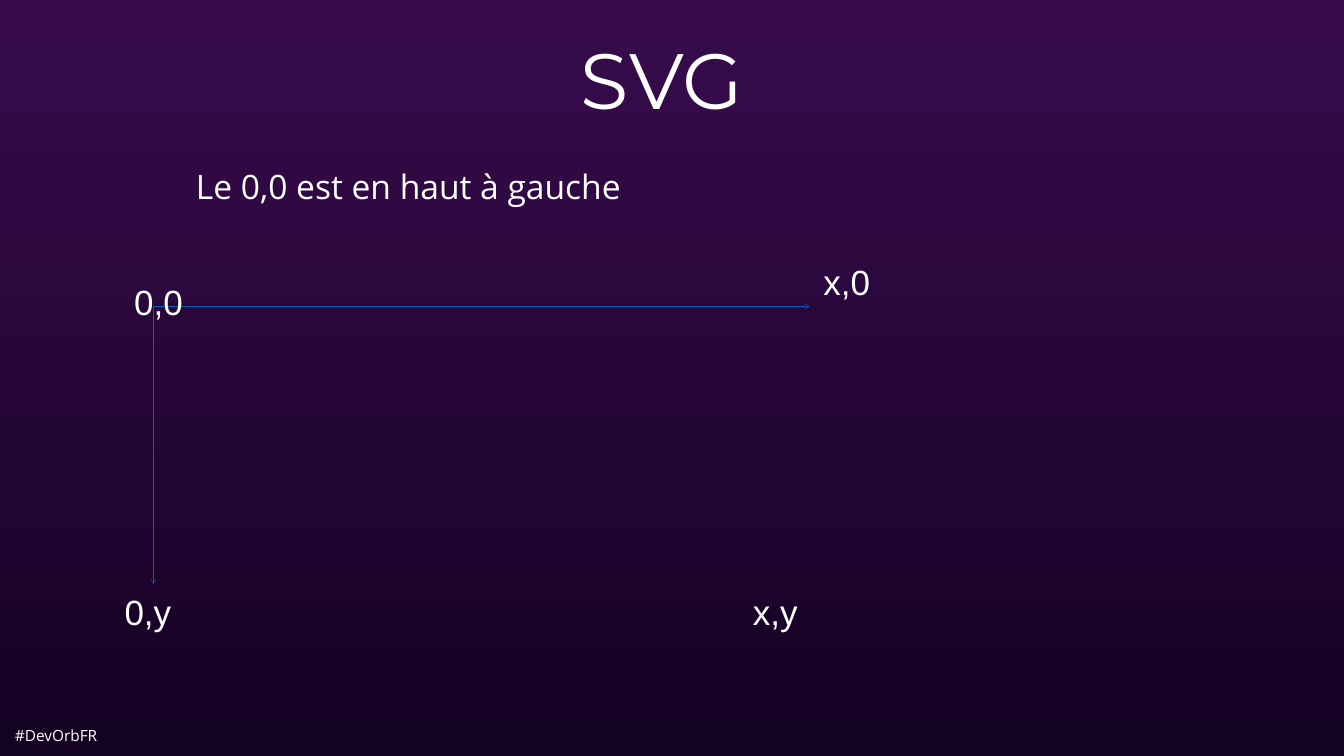
from lxml.etree import SubElement
from pptx import Presentation
from pptx.dml.color import RGBColor
from pptx.enum.shapes import MSO_CONNECTOR
from pptx.enum.text import MSO_ANCHOR, MSO_AUTO_SIZE, PP_ALIGN
from pptx.oxml.ns import qn
from pptx.util import Pt

COLORS = {"bottom": "140223", "top": "380B4C", "text": "FFFFFF", "axis": "0063BD"}


def write_text(box, text, font, size, align, anchor, margins, wrap, fit):
    frame = box.text_frame
    side, edge = margins
    settings = {
        "margin_left": Pt(side), "margin_right": Pt(side),
        "margin_top": Pt(edge), "margin_bottom": Pt(edge),
        "vertical_anchor": anchor, "word_wrap": wrap, "auto_size": fit,
    }
    for name, value in settings.items():
        setattr(frame, name, value)
    para = frame.paragraphs[0]
    para.alignment = align
    span = para.add_run()
    span.text = text
    span.font.name = font
    span.font.size = Pt(size)
    span.font.color.rgb = RGBColor.from_string(COLORS["text"])
    return para


def place(box, left, top, width, height):
    box.left, box.top, box.width, box.height = Pt(left), Pt(top), Pt(width), Pt(height)


deck = Presentation()
deck.slide_width, deck.slide_height = Pt(1920), Pt(1080)
page = deck.slides.add_slide(deck.slide_layouts[1])

# Background gradient, dark at the bottom
fill = page.background.fill
fill.gradient()
fill.gradient_angle = 90
for stop, name in zip(fill.gradient_stops, ("bottom", "top")):
    stop.color.rgb = RGBColor.from_string(COLORS[name])

# Hashtag in the corner
hashtag = page.shapes.add_textbox(Pt(15.8), Pt(1029.6), Pt(131), Pt(41))
write_text(hashtag, "#DevOrbFR", "Open Sans", 22, PP_ALIGN.LEFT, MSO_ANCHOR.MIDDLE,
           (5.6, 5.6), False, MSO_AUTO_SIZE.SHAPE_TO_FIT_TEXT)

# Title and statement
title = page.shapes.title
place(title, 381, 10.8, 1158.5, 203)
write_text(title, "SVG ", "Montserrat", 112, PP_ALIGN.CENTER, MSO_ANCHOR.MIDDLE,
           (5.6, 5.6), True, MSO_AUTO_SIZE.NONE)

body = page.placeholders[1]
place(body, 274.3, 231.8, 1371, 756.7)
statement = write_text(body, "Le 0,0 est en haut à gauche", "Open Sans", 48, PP_ALIGN.LEFT,
                       MSO_ANCHOR.TOP, (5.6, 5.6), True, MSO_AUTO_SIZE.NONE)
statement.space_before = Pt(59)
properties = statement._p.get_or_add_pPr()
properties.set("marL", "0")
properties.set("indent", "0")
SubElement(properties, qn("a:buNone"))

# Axes leaving the origin
origin_x, origin_y = 219, 437.8
x_end, y_end = 1156.3, 834.5
for end_x, end_y in ((origin_x, y_end), (x_end, origin_y)):
    axis = page.shapes.add_connector(MSO_CONNECTOR.STRAIGHT, Pt(origin_x), Pt(origin_y),
                                     Pt(end_x), Pt(end_y))
    axis.line.color.rgb = RGBColor.from_string(COLORS["axis"])
    axis.line.width = Pt(0.75)
    SubElement(axis.line._get_or_add_ln(), qn("a:tailEnd"), type="arrow")
    SubElement(axis._element.spPr, qn("a:effectLst"))

# Corner coordinates: text, left, top, width, wrap
labels = [
    ("0,0", 143.3, 392.4, 166.3, True),
    ("0,y", 143.3, y_end, 136, True),
    ("x,0", 1158.5, 363.6, 102.2, False),
    ("x,y", 1057.7, y_end, 99.4, False),
]
for text, left, top, width, wrap in labels:
    label = page.shapes.add_textbox(Pt(left), Pt(top), Pt(width), Pt(77.8))
    write_text(label, text, "Arial", 50, PP_ALIGN.CENTER, MSO_ANCHOR.TOP,
               (17.3, 8.6), wrap, MSO_AUTO_SIZE.SHAPE_TO_FIT_TEXT)

deck.save("out.pptx")
